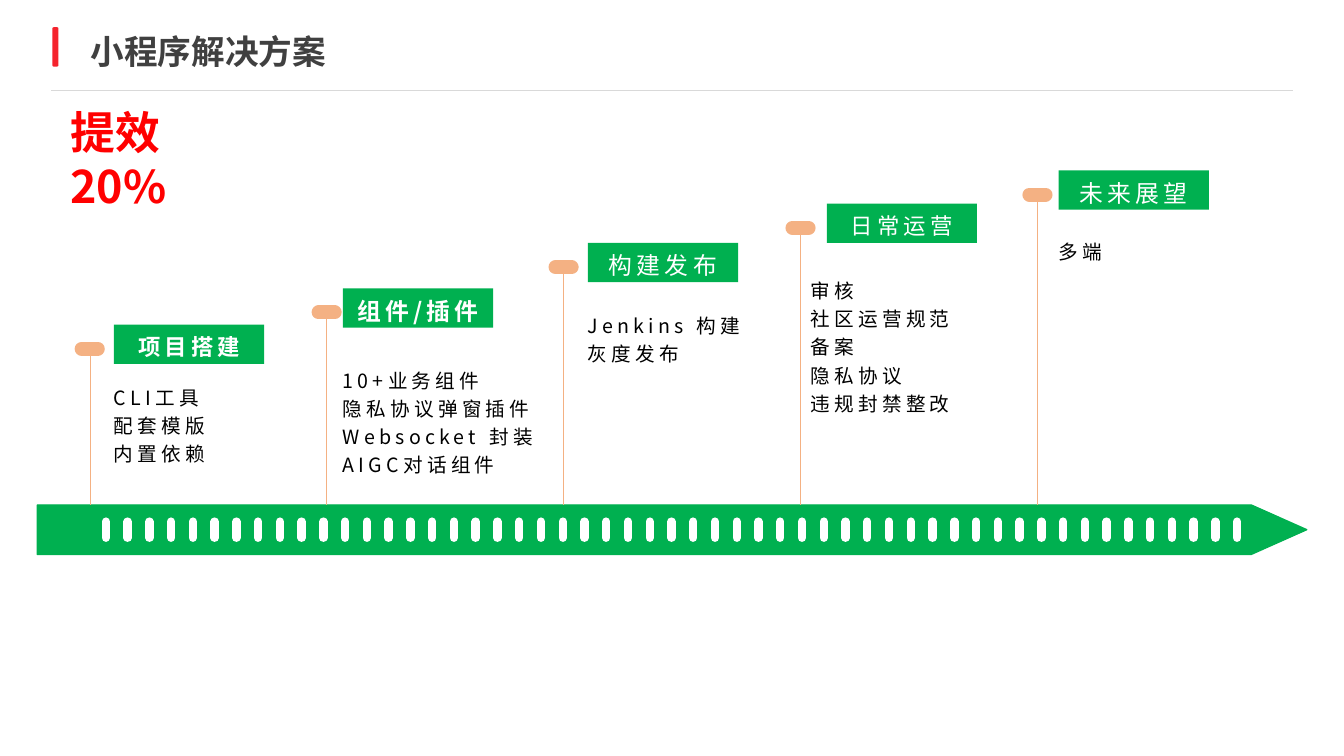
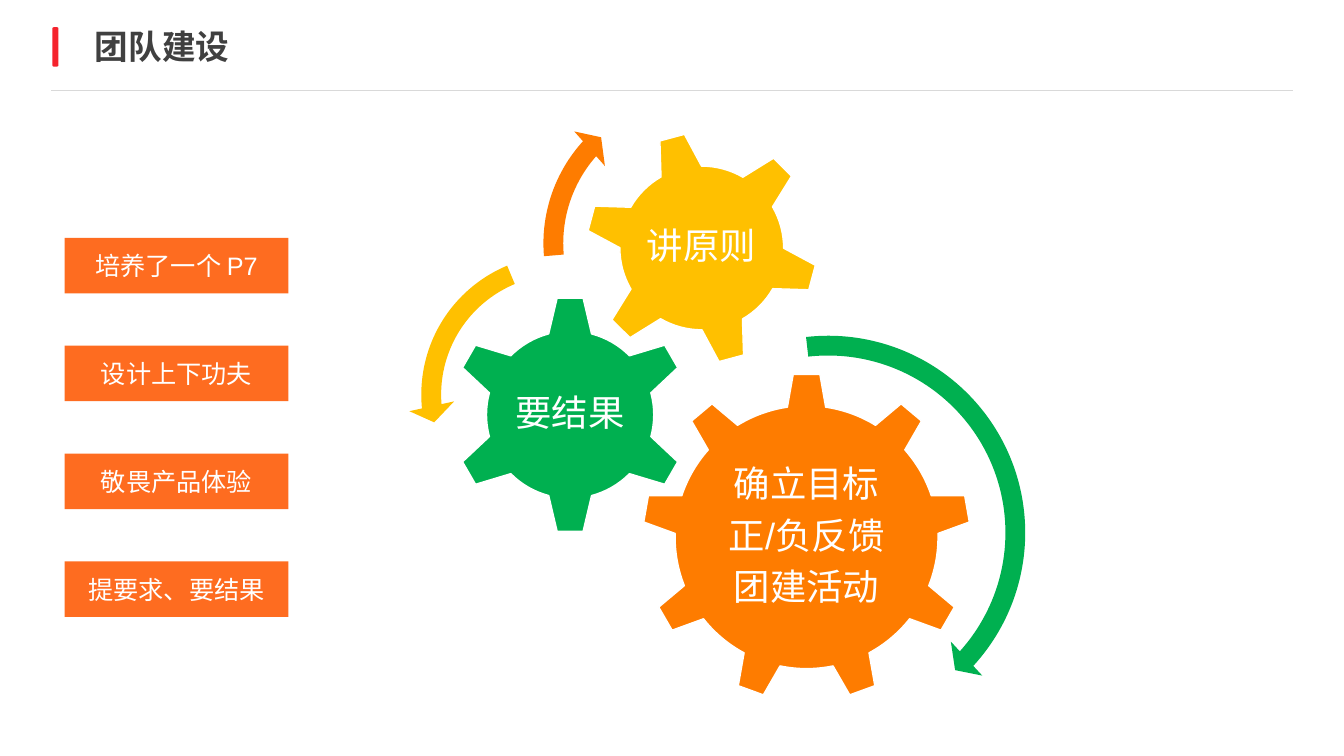
from collections import namedtuple

from lxml.etree import SubElement
from pptx import Presentation
from pptx.dml.color import RGBColor
from pptx.enum.shapes import MSO_CONNECTOR, MSO_SHAPE as Preset
from pptx.enum.text import MSO_ANCHOR as Anchor, MSO_AUTO_SIZE as AutoSize, PP_ALIGN as Align
from pptx.oxml.ns import qn
from pptx.util import Inches, Pt

Box = namedtuple("Box", "left top width height")
Style = namedtuple("Style", "size color bold font spacing", defaults=("FFFFFF", False, "Noto Sans CJK SC", 0))
Milestone = namedtuple("Milestone", "name items height label_left items_left items_top size bold")
Gear = namedtuple("Gear", "preset left top size color rotation font text_share lines")
Turn = namedtuple("Turn", "preset left top size color adjustments")

CJK = "Noto Sans CJK SC"
GREEN, YELLOW, ORANGE, PEACH, WHITE = "00B050", "FFC000", "FE7C00", "F4B183", "FFFFFF"
CARD_ORANGE, RED, BAR_RED, RULE_GRAY, TITLE_GRAY = "FE6C20", "FF0000", "F5232D", "D9D9D9", "404040"

MILESTONES = [
    Milestone("项目搭建", ["CLI工具", "配套模版", "内置依赖"], 3.46, 1.13, 1.13, 3.78, 16, True),
    Milestone("组件/插件", ["10+业务组件", "隐私协议弹窗插件", "Websocket 封装", "AIGC对话组件"],
              3.1, 3.4, 3.4, 3.61, 17, True),
    Milestone("构建发布", ["Jenkins 构建", "灰度发布"], 2.65, 5.83, 5.83, 3.07, 17, False),
    Milestone("日常运营", ["审核", "社区运营规范", "备案", "隐私协议", "违规封禁整改"],
              2.26, 8.2, 8.04, 2.72, 16, False),
    Milestone("未来展望", ["多端"], 1.93, 10.5, 10.5, 2.33, 17, False),
]
GEARS = [
    Gear(Preset.GEAR_9, 2.32, 2.92, 3.26, ORANGE, 0, "Arial", 0.6, ["确立目标", "正/负反馈", "团建活动"]),
    Gear(Preset.GEAR_6, 0.42, 2.15, 2.37, GREEN, 0, CJK, 0.5, ["要结果"]),
    Gear(Preset.GEAR_6, 1.75, 0.52, 2.32, YELLOW, 345, "Arial", 0.56, ["讲原则"]),
]
TURNS = [
    Turn(Preset.CIRCULAR_ARROW, 2.08, 2.42, 4.17, GREEN, (0.047, 2.99, 25.393, 158.123, 0.055)),
    Turn(Preset.LEFT_CIRCULAR_ARROW, 0, 1.62, 3.03, YELLOW, (0.065, 4.3, 104.891, 148.378, 0.075)),
    Turn(Preset.CIRCULAR_ARROW, 1.21, 0, 3.27, ORANGE, (0.06, 3.941, 133.138, 105.082, 0.07)),
]
HABITS = ["培养了一个 P7", "设计上下功夫", "敬畏产品体验", "提要求、要结果"]


def rgb(code):
    """Turn a hex string into a colour."""
    return RGBColor.from_string(code)


def emu(box):
    """Turn a box in inches into lengths."""
    return [Inches(length) for length in box]


def paint(shape, color, outline=None):
    """Give a shape a flat fill and an optional one-point outline."""
    shape.shadow.inherit = False
    shape.fill.solid()
    shape.fill.fore_color.rgb = rgb(color)
    if outline:
        shape.line.color.rgb = rgb(outline)
        shape.line.width = Pt(1)
    else:
        shape.line.fill.background()
    return shape


def preset(slide, kind, box, color, outline=None):
    """Add a painted preset shape."""
    return paint(slide.shapes.add_shape(kind, *emu(box)), color, outline)


def stroke(slide, start, end, color, width, rounded=False):
    """Draw a straight line, with round ends if asked."""
    line = slide.shapes.add_connector(MSO_CONNECTOR.STRAIGHT, *emu(start + end))
    line.line.color.rgb = rgb(color)
    line.line.width = Pt(width)
    if rounded:
        line.line._get_or_add_ln().set("cap", "rnd")
    SubElement(line.element.spPr, qn("a:effectLst"))
    return line


def write(frame, lines, style, align=Align.LEFT, anchor=Anchor.TOP, inset=None, leading=None, after=0):
    """Fill a text frame with one styled paragraph a line."""
    frame.word_wrap = True
    frame.auto_size = AutoSize.NONE
    frame.vertical_anchor = anchor
    if inset is not None:
        frame.margin_left = frame.margin_top = frame.margin_right = frame.margin_bottom = Inches(inset)
    for index, line in enumerate(lines):
        paragraph = frame.add_paragraph() if index else frame.paragraphs[0]
        paragraph.alignment = align
        paragraph.space_before = Pt(0)
        paragraph.space_after = Pt(after)
        if leading:
            paragraph.line_spacing = leading
        run = paragraph.add_run()
        run.text = line
        run.font.size = Pt(style.size)
        run.font.bold = style.bold
        run.font.color.rgb = rgb(style.color)
        run.font.name = style.font
        properties = run.font._element
        SubElement(properties, qn("a:ea")).set("typeface", CJK)
        if style.spacing:
            properties.set("spc", str(style.spacing * 100))


def textbox(slide, box, lines, style, **options):
    """Add a text box."""
    write(slide.shapes.add_textbox(*emu(box)).text_frame, lines, style, **options)


def decorate(slide):
    """Put the header rule and red bar on the slide's layout."""
    rule = stroke(slide, (0.51, 0.9), (12.82, 0.9), RULE_GRAY, 0.75)
    bar = preset(slide, Preset.ROUNDED_RECTANGLE, Box(0.52, 0.27, 0.06, 0.39), BAR_RED)
    bar.adjustments[0] = 0.22
    for number, part in enumerate((rule, bar), 101):
        part.element.xpath(".//p:cNvPr")[0].set("id", str(number))
        slide.slide_layout.shapes.element.append(part.element)


def set_title(slide, text, left, top):
    """Place and fill the slide title."""
    title = slide.shapes.title
    title.left, title.top, title.width, title.height = emu((left, top, 7.78, 0.46))
    write(title.text_frame, [text], Style(24, TITLE_GRAY, True))


def draw_road(slide, box, ticks=53):
    """Draw the pointed road with its row of dashes."""
    right, bottom = box.left + box.width, box.top + box.height
    middle, shoulder = box.top + box.height / 2, right - 0.55
    outline = [(shoulder, box.top), (right, middle), (shoulder, bottom), (box.left, bottom)]
    builder = slide.shapes.build_freeform(Inches(box.left), Inches(box.top))
    builder.add_line_segments([tuple(emu(point)) for point in outline], close=True)
    paint(builder.convert_to_shape(), GREEN, GREEN)
    first, last = box.left + 0.68, right - 0.69
    for tick in range(ticks):
        x = first + (last - first) * tick / (ticks - 1)
        stroke(slide, (x, middle - 0.08), (x, middle + 0.08), WHITE, 6, rounded=True)


def draw_milestone(slide, milestone, x, ground):
    """Draw a stem rising from the road with its label and items."""
    y = milestone.height
    stroke(slide, (x, y), (x, ground), PEACH, 0.25)
    stroke(slide, (x - 0.08, y), (x + 0.08, y), PEACH, 10, rounded=True)
    textbox(slide, Box(milestone.items_left, milestone.items_top, 2.1, 1.4), milestone.items,
            Style(14, "000000", spacing=3), inset=0, leading=1.2)
    label = preset(slide, Preset.RECTANGLE, Box(milestone.label_left, y - 0.24, 1.49, 0.39), GREEN)
    write(label.text_frame, [milestone.name], Style(milestone.size, WHITE, milestone.bold, spacing=3),
          align=Align.CENTER, anchor=Anchor.MIDDLE, inset=0, leading=1.2)


def draw_gears(slide, left, top):
    """Draw the three gears and their turning arrows."""
    for gear in GEARS:
        box = Box(left + gear.left, top + gear.top, gear.size, gear.size)
        preset(slide, gear.preset, box, gear.color, WHITE).rotation = gear.rotation
        side = gear.size * gear.text_share
        margin = (gear.size - side) / 2
        textbox(slide, Box(box.left + margin, box.top + margin, side, side), gear.lines,
                Style(26, font=gear.font), align=Align.CENTER, anchor=Anchor.MIDDLE,
                inset=0.04, leading=0.9, after=9)
    for turn in TURNS:
        box = Box(left + turn.left, top + turn.top, turn.size, turn.size)
        arrow = preset(slide, turn.preset, box, turn.color)
        for index, value in enumerate(turn.adjustments):
            arrow.adjustments[index] = value


def draw_habits(slide, box):
    """Stack the habit cards at equal steps in a box."""
    height = 0.55
    step = (box.height - height) / (len(HABITS) - 1)
    for row, habit in enumerate(HABITS):
        card = preset(slide, Preset.RECTANGLE, Box(box.left, box.top + row * step, box.width, height), CARD_ORANGE)
        write(card.text_frame, [habit], Style(18, font="Arial"), align=Align.CENTER, anchor=Anchor.MIDDLE)


def build_solution(slide):
    """Build the mini-program roadmap slide."""
    set_title(slide, "小程序解决方案", 0.8, 0.26)
    road = Box(0.37, 5.01, 12.59, 0.49)
    draw_road(slide, road)
    for column, milestone in enumerate(MILESTONES):
        draw_milestone(slide, milestone, 0.89 + 2.35 * column, road.top)
    textbox(slide, Box(0.6, 0.99, 2.2, 1.17), ["提效", "20%"], Style(32, RED, True))


def build_team(slide):
    """Build the team slide."""
    set_title(slide, "团队建设", 0.84, 0.21)
    draw_gears(slide, 4.05, 0.78)
    draw_habits(slide, Box(0.64, 2.36, 2.22, 3.76))


def main():
    """Build and save the deck."""
    deck = Presentation()
    deck.slide_width, deck.slide_height = Inches(13.33), Inches(7.5)
    title_only = deck.slide_layouts[5]
    solution, team = (deck.slides.add_slide(title_only) for _ in range(2))
    decorate(solution)
    build_solution(solution)
    build_team(team)
    deck.save("out.pptx")


if __name__ == "__main__":
    main()
